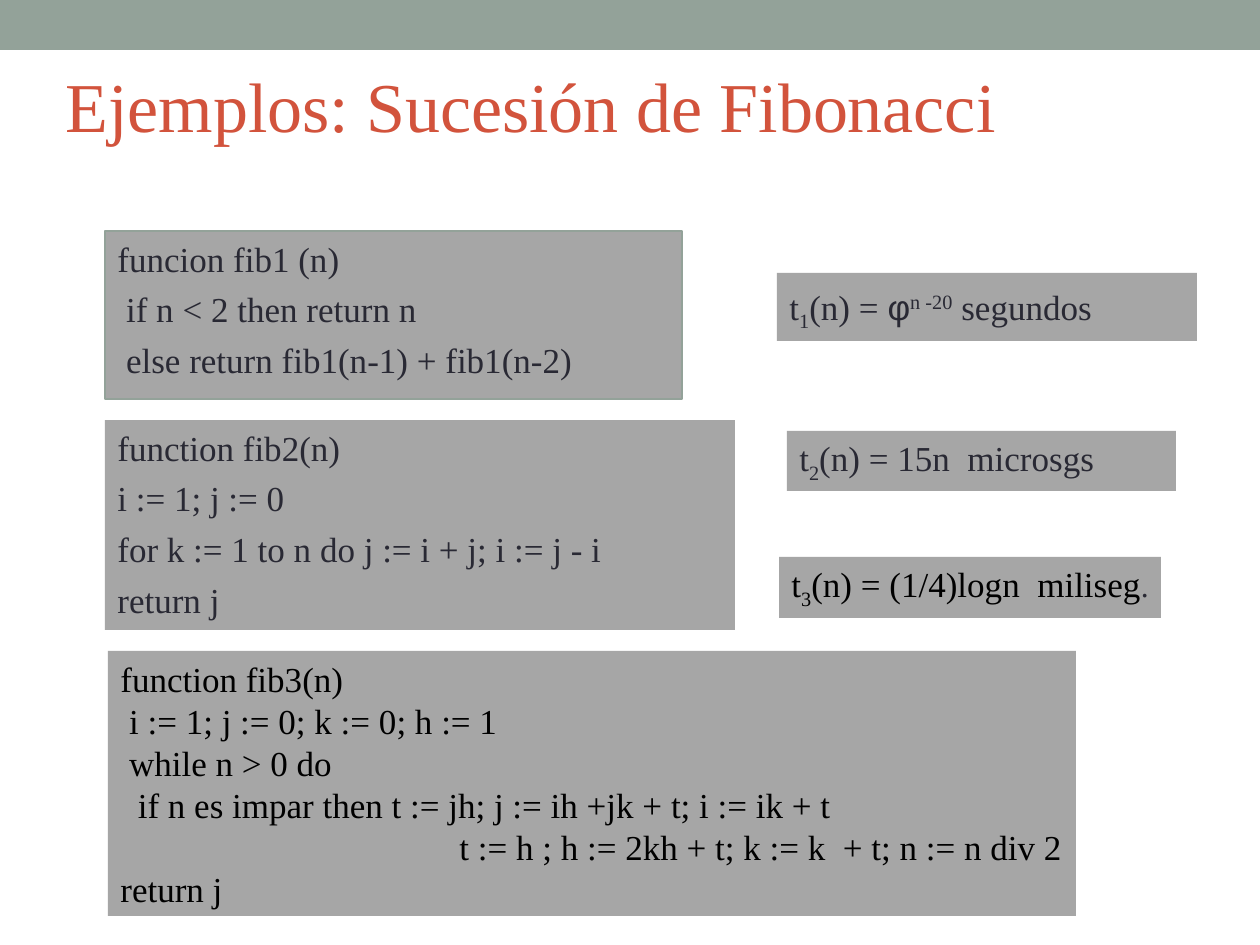
from pptx import Presentation
from pptx.dml.color import RGBColor as Rgb
from pptx.enum.shapes import MSO_SHAPE as Shape
from pptx.enum.text import MSO_ANCHOR as Anchor, PP_ALIGN as Align
from pptx.util import Pt

SCALE = 914400 / 126
FONT = "Times New Roman"
COLORS = {
    "band": "93A299",
    "title": "D2533C",
    "panel": "A6A6A6",
    "dark": "292934",
    "black": "000000",
}


def px(n):
    return round(n * SCALE)


class Deck:
    def __init__(self, wide, high):
        self.prs = Presentation()
        self.prs.slide_width = px(wide)
        self.prs.slide_height = px(high)
        self.slide = self.prs.slides.add_slide(self.prs.slide_layouts[5])

    def color(self, name):
        return Rgb.from_string(COLORS[name])

    def style(self, para, size, color):
        para.alignment = Align.LEFT
        font = para.font
        font.name, font.size = FONT, Pt(size)
        font.color.rgb = self.color(color)

    def title(self, text, *box):
        shape = self.slide.shapes.title
        shape.left, shape.top, shape.width, shape.height = map(px, box)
        frame = shape.text_frame
        frame.text = text
        frame.vertical_anchor = Anchor.MIDDLE
        self.style(frame.paragraphs[0], 40, "title")

    def rect(self, box, fill, line=None):
        shape = self.slide.shapes.add_shape(Shape.RECTANGLE, *map(px, box))
        shape.shadow.inherit = False
        shape.fill.solid()
        shape.fill.fore_color.rgb = self.color(fill)
        if line:
            shape.line.color.rgb = self.color(line)
            shape.line.width = Pt(0.75)
        else:
            shape.line.fill.background()
        return shape

    def panel(self, box, color, wrap=True, line=None):
        frame = self.rect(box, "panel", line).text_frame
        frame.word_wrap = wrap
        frame.vertical_anchor = Anchor.TOP
        return frame

    def code(self, box, lines, color="dark", gap=5, wrap=True, line=None, inset={}):
        frame = self.panel(box, color, wrap, line)
        for i, text in enumerate(lines):
            para = frame.paragraphs[0] if i == 0 else frame.add_paragraph()
            para.text = text
            if i in inset:
                para._p.get_or_add_pPr().set("marL", str(px(inset[i])))
            if i and gap:
                para.space_before = Pt(gap)
            self.style(para, 20, color)

    def cost(self, box, runs, color="dark", wrap=True, top=6):
        frame = self.panel(box, color, wrap)
        frame.margin_top = px(top)
        para = frame.paragraphs[0]
        self.style(para, 20, color)
        for text, shift, look in runs:
            run = para.add_run()
            run.text = text
            if shift:
                run._r.get_or_add_rPr().set("baseline", str(shift * 1000))
            if "font" in look:
                run.font.name = look["font"]
            if "size" in look:
                run.font.size = Pt(look["size"])
            if "color" in look:
                run.font.color.rgb = self.color(look["color"])


def main():
    deck = Deck(1260, 945)
    deck.rect((0, 0, 1260, 50), "band")
    deck.title("Ejemplos: Sucesión de Fibonacci", 53, 42, 1176, 126)
    deck.code(
        (105, 231, 577, 168),
        ["funcion fib1 (n)", " if n < 2 then return n",
         " else return fib1(n-1) + fib1(n-2)"],
        line="band",
    )
    deck.code(
        (105, 420, 630, 210),
        ["function fib2(n)", "i := 1; j := 0",
         "for k := 1 to n do j := i + j; i := j - i", "return j"],
    )
    deck.code(
        (108, 651, 968, 265),
        ["function fib3(n)", " i := 1; j := 0; k := 0; h := 1", " while n > 0 do",
         "  if n es impar then t := jh; j := ih +jk + t; i := ik + t",
         "t := h ; h := 2kh + t; k := k  + t; n := n div 2", "return j"],
        color="black", gap=0, wrap=False, inset={4: 339},
    )
    deck.cost(
        (777, 273, 420, 68),
        [("t", 0, {}), ("1", -25, {}), ("(n) = ", 0, {}), ("φ", 0, {"font": "Arial"}),
         ("n -20", 30, {}), (" segundos", 0, {})],
        top=12,
    )
    deck.cost(
        (787, 431, 389, 60),
        [("t", 0, {}), ("2", -25, {}), ("(n) = 15n  microsgs", 0, {})],
    )
    deck.cost(
        (779, 557, 382, 61),
        [("t", 0, {}), ("3", -25, {}), ("(n) = (1/4)logn  miliseg", 0, {}),
         (".", 0, {"size": 18, "color": "dark"})],
        color="black", wrap=False,
    )
    deck.prs.save("out.pptx")


if __name__ == "__main__":
    main()
